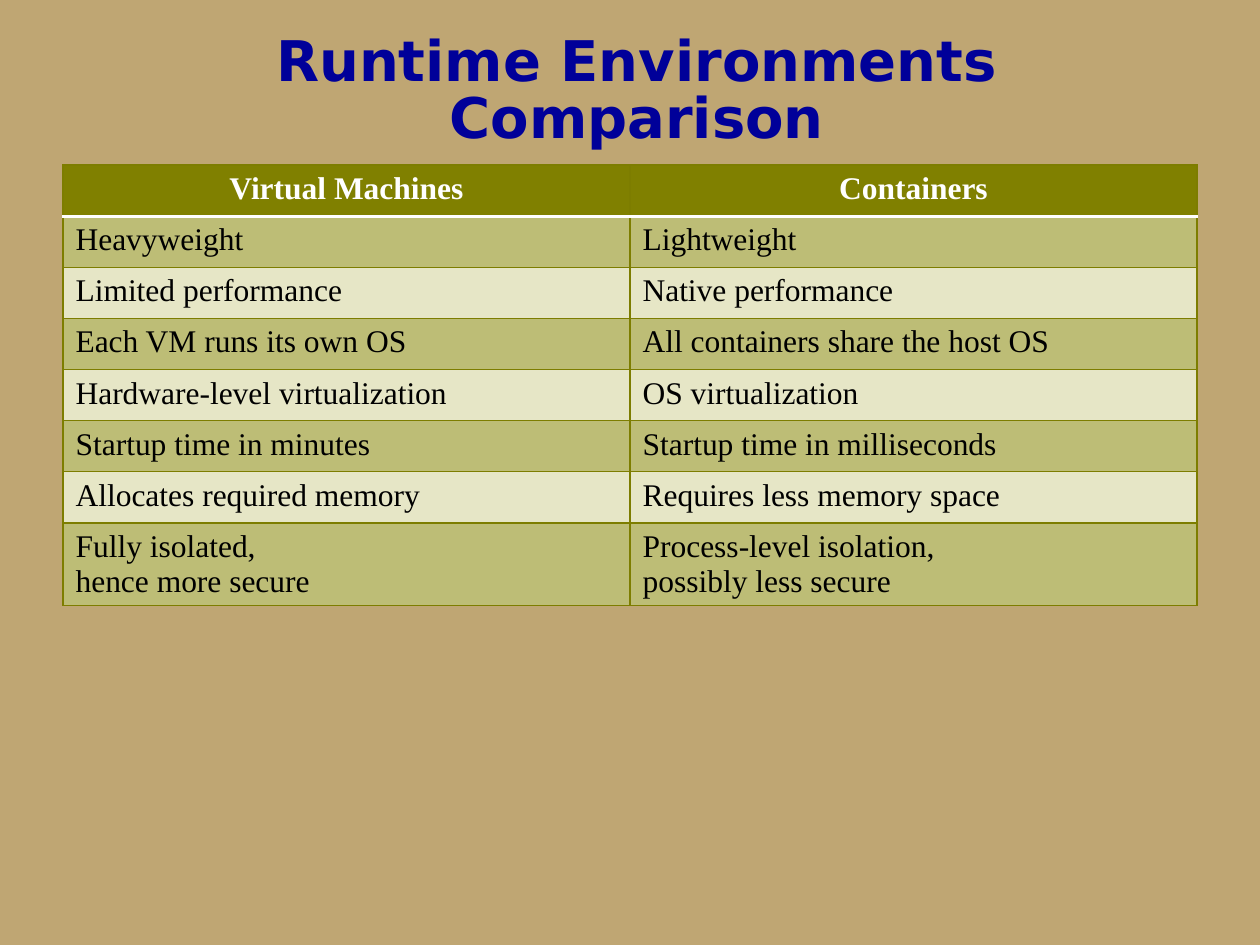
from lxml import etree
from pptx import Presentation
from pptx import util as u
from pptx.dml.color import RGBColor
from pptx.enum import text
from pptx.oxml import ns

OLIVE, BORDER, WHITE = "808000", "7D7D00", "FFFFFF"
BANDS = ["BDBD76", "E6E6C6"]
ROWS = [
    ("Virtual Machines", "Containers"),
    ("Heavyweight", "Lightweight"),
    ("Limited performance", "Native performance"),
    ("Each VM runs its own OS", "All containers share the host OS"),
    ("Hardware-level virtualization", "OS virtualization"),
    ("Startup time in minutes", "Startup time in milliseconds"),
    ("Allocates required memory", "Requires less memory space"),
    ("Fully isolated,\nhence more secure",
     "Process-level isolation,\npossibly less secure"),
]


def paint(fill, color):
    fill.solid()
    fill.fore_color.rgb = RGBColor.from_string(color)


def add_border(cell, side, color, points):
    line = etree.SubElement(cell._tc.get_or_add_tcPr(), ns.qn(f"a:ln{side}"),
                            w=str(u.Pt(points)))
    solid = etree.SubElement(line, ns.qn("a:solidFill"))
    etree.SubElement(solid, ns.qn("a:srgbClr"), val=color)


deck = Presentation()
deck.slide_width, deck.slide_height = u.Inches(10), u.Inches(7.5)
page = deck.slides.add_slide(deck.slide_layouts[5])
paint(page.background.fill, "BFA673")

# Title with a soft text shadow
title = page.shapes.title
title.left, title.top = u.Inches(0.53), u.Inches(0.36)
title.width, title.height = u.Inches(9.05), u.Inches(0.76)
frame = title.text_frame
frame.text = "Runtime Environments Comparison"
frame.word_wrap = True
frame.auto_size = text.MSO_AUTO_SIZE.NONE
frame.vertical_anchor = text.MSO_ANCHOR.MIDDLE
para = frame.paragraphs[0]
para.alignment = text.PP_ALIGN.CENTER
para.line_spacing = 0.85
span = para.runs[0]
span.font.name, span.font.size, span.font.bold = "DejaVu Sans", u.Pt(32), True
paint(span.font.fill, "000099")
effects = etree.Element(ns.qn("a:effectLst"))
shadow = etree.SubElement(effects, ns.qn("a:outerShdw"), dist="38100", dir="2700000")
etree.SubElement(shadow, ns.qn("a:srgbClr"), val="C0C0C0")
span.font.fill._xPr.find(ns.qn("a:solidFill")).addnext(effects)

# Comparison table: a header over banded rows, the last one two lines high
row_height, last_height = u.Inches(0.406), u.Inches(0.65)
table = page.shapes.add_table(
    len(ROWS), 2, u.Inches(0.5), u.Inches(1.31), u.Inches(9),
    row_height * (len(ROWS) - 1) + last_height).table
for row in table.rows:
    row.height = row_height
table.rows[len(ROWS) - 1].height = last_height

for r, row in enumerate(ROWS):
    header = r == 0
    for c, words in enumerate(row):
        cell = table.cell(r, c)
        for side in "LRTB":
            white = (header and side == "B") or (r == 1 and side == "T")
            add_border(cell, side, *((WHITE, 2) if white else (BORDER, 0.75)))
        paint(cell.fill, OLIVE if header else BANDS[(r - 1) % 2])
        cell.text_frame.text = words
        for para in cell.text_frame.paragraphs:
            para.alignment = text.PP_ALIGN.CENTER if header else text.PP_ALIGN.LEFT
            font = para.runs[0].font
            font.name, font.size, font.bold = "Times New Roman", u.Pt(18), header
            paint(font.fill, WHITE if header else "000000")

deck.save("out.pptx")
